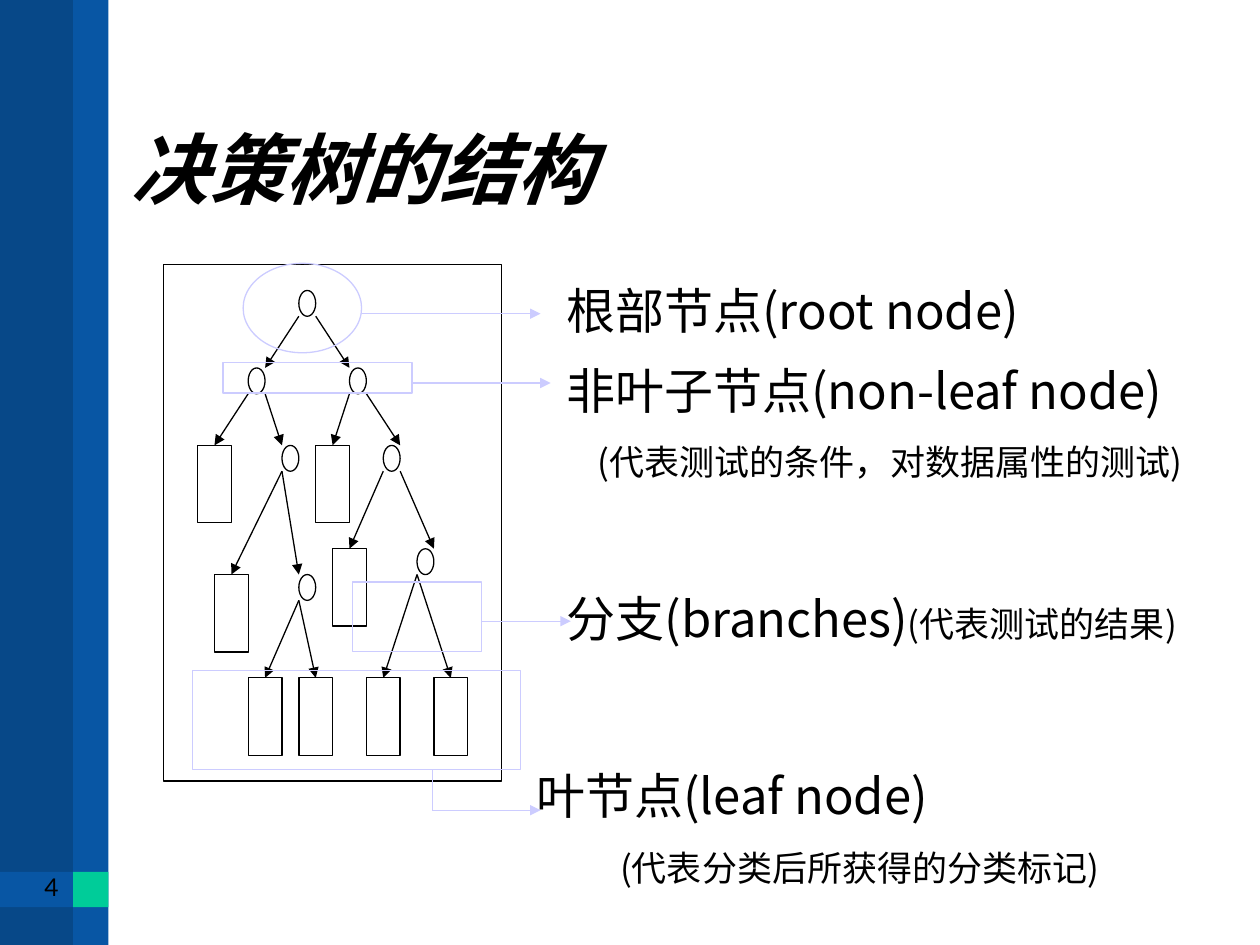
from typing import NamedTuple

from lxml import etree
from pptx import Presentation
from pptx.dml.color import RGBColor
from pptx.enum.shapes import MSO_CONNECTOR, MSO_SHAPE
from pptx.enum.text import MSO_ANCHOR, MSO_AUTO_SIZE, PP_ALIGN
from pptx.oxml.ns import qn
from pptx.util import Inches, Pt

RECT, OVAL = MSO_SHAPE.RECTANGLE, MSO_SHAPE.OVAL
LINE = MSO_CONNECTOR.STRAIGHT
LEFT, CENTER = PP_ALIGN.LEFT, PP_ALIGN.CENTER
MIDDLE, BOTTOM = MSO_ANCHOR.MIDDLE, MSO_ANCHOR.BOTTOM
FIXED = MSO_AUTO_SIZE.NONE

FONT = "Noto Sans CJK SC"
BLACK, WHITE, LILAC = "000000", "FFFFFF", "CCCCFF"
NAVY, BLUE, GREEN = "074888", "0856A4", "00CC99"
TREE_X, TREE_Y, STEP_X, STEP_Y = 1.3, 2.1, 0.134, 0.205


class Box(NamedTuple):
    x: float
    y: float
    w: float
    h: float
    kind: int = RECT
    fill: str | None = None
    edge: str | None = None


class Branch(NamedTuple):
    x1: int
    y1: int
    x2: int
    y2: int


class Arrow(NamedTuple):
    x1: float
    y1: float
    x2: float
    y2: float
    head: bool = True


class Label(NamedTuple):
    x: float
    y: float
    w: float
    h: float
    name: str
    side: str = ""
    note: str = ""


BANDS = [
    Box(0, 0, 0.83, 7.5, fill=NAVY),
    Box(0.58, 0, 0.28, 7.5, fill=BLUE),
    Box(0, 6.92, 0.83, 0.28, fill=BLUE),
    Box(0.58, 6.92, 0.28, 0.28, fill=GREEN),
]
NODES = [(8, 1), (5, 4), (11, 4), (7, 7), (13, 7), (15, 11), (8, 12)]
LEAVES = [(2, 7), (9, 7), (10, 11), (3, 12), (5, 16), (8, 16), (12, 16), (16, 16)]
LINKS = [
    Branch(8, 2, 6, 4), Branch(9, 2, 11, 4),
    Branch(5, 5, 3, 7), Branch(6, 5, 7, 7),
    Branch(11, 5, 10, 7), Branch(12, 5, 14, 7),
    Branch(13, 8, 11, 11), Branch(14, 8, 16, 11),
    Branch(7, 8, 4, 12), Branch(7, 8, 8, 12),
    Branch(8, 13, 6, 16), Branch(8, 13, 9, 16),
    Branch(15, 12, 13, 16), Branch(15, 12, 17, 16),
]
FRAMES = [
    Box(1.93, 2.09, 0.94, 0.71, OVAL, edge=LILAC),
    Box(1.77, 2.88, 1.5, 0.24, edge=LILAC),
    Box(2.8, 4.62, 1.02, 0.55, edge=LILAC),
    Box(1.53, 5.32, 2.6, 0.79, edge=LILAC),
]
ARROWS = [
    Arrow(2.87, 2.49, 4.29, 2.49),
    Arrow(3.27, 3.04, 4.37, 3.04),
    Arrow(3.82, 4.93, 4.53, 4.93),
    Arrow(3.43, 6.11, 3.43, 6.43, head=False),
    Arrow(3.43, 6.43, 4.29, 6.43),
]
LABELS = [
    Label(3.9, 2.18, 5.27, 0.57, "根部节点(root node)"),
    Label(3.9, 2.81, 5.83, 1.08, "非叶子节点(non-leaf node)",
          note="(代表测试的条件，对数据属性的测试)"),
    Label(3.9, 4.62, 5.83, 0.57, "分支(branches)", side="(代表测试的结果)"),
    Label(3.66, 6.03, 5.83, 1.08, "叶节点(leaf node)",
          note="(代表分类后所获得的分类标记)"),
]


def tint(code: str) -> RGBColor:
    return RGBColor.from_string(code)


def write(para, text: str, *, size: float, font: str = FONT,
          bold: bool = False, slant: bool = False, align=LEFT) -> None:
    para.alignment = align
    run = para.add_run()
    run.text = text
    face = run.font
    face.size, face.bold, face.italic = Pt(size), bold, slant
    face.color.rgb = tint(BLACK)
    face.name = font
    etree.SubElement(run._r.get_or_add_rPr(), qn("a:ea"), typeface=FONT)


def indent(para) -> None:
    props = para._p.get_or_add_pPr()
    props.set("marL", str(Inches(0.81)))
    props.set("indent", str(Inches(-0.31)))


def draw_box(slide, box: Box):
    shape = slide.shapes.add_shape(
        box.kind, Inches(box.x), Inches(box.y), Inches(box.w), Inches(box.h))
    shape.shadow.inherit = False
    if box.fill:
        shape.fill.solid()
        shape.fill.fore_color.rgb = tint(box.fill)
    else:
        shape.fill.background()
    if box.edge:
        shape.line.color.rgb = tint(box.edge)
        shape.line.width = Pt(0.75)
    else:
        shape.line.fill.background()
    return shape


def draw_line(slide, arrow: Arrow, color: str):
    line = slide.shapes.add_connector(
        LINE, Inches(arrow.x1), Inches(arrow.y1), Inches(arrow.x2), Inches(arrow.y2))
    line.line.color.rgb = tint(color)
    line.line.width = Pt(0.75)
    if arrow.head:
        etree.SubElement(line.line._get_or_add_ln(), qn("a:tailEnd"), type="triangle")
    etree.SubElement(line._element.spPr, qn("a:effectLst"))
    return line


def grid(col: int, row: int) -> tuple[float, float]:
    return TREE_X + col * STEP_X, TREE_Y + row * STEP_Y


def draw_tree(slide) -> None:
    draw_box(slide, Box(TREE_X, TREE_Y, 20 * STEP_X, 20 * STEP_Y, edge=BLACK))
    for col, row in NODES:
        draw_box(slide, Box(*grid(col, row), STEP_X, STEP_Y, OVAL, WHITE, BLACK))
    tops = {}
    for col, row in LEAVES:
        leaf = Box(*grid(col, row), 2 * STEP_X, 3 * STEP_Y, RECT, WHITE, BLACK)
        tops[col + 1, row] = draw_box(slide, leaf)
    for link in LINKS:
        ends = Arrow(*grid(link.x1, link.y1), *grid(link.x2, link.y2))
        line = draw_line(slide, ends, BLACK)
        leaf = tops.get((link.x2, link.y2))
        if leaf is not None:
            line.end_connect(leaf, 0)


def draw_label(slide, label: Label) -> None:
    box = slide.shapes.add_textbox(
        Inches(label.x), Inches(label.y), Inches(label.w), Inches(label.h))
    frame = box.text_frame
    frame.word_wrap = True
    head = frame.paragraphs[0]
    indent(head)
    write(head, label.name, size=28)
    if label.side:
        write(head, label.side, size=20)
    if label.note:
        para = frame.add_paragraph()
        indent(para)
        para.space_before = Pt(12.5)
        write(para, label.note, size=20, align=CENTER)


def draw_title(slide) -> None:
    title = slide.shapes.title
    title.left, title.top = Inches(0.94), Inches(0.55)
    title.width, title.height = Inches(8.5), Inches(1.25)
    frame = title.text_frame
    frame.auto_size, frame.vertical_anchor = FIXED, BOTTOM
    frame.margin_bottom = Inches(0.1)
    para = frame.paragraphs[0]
    para.line_spacing = Pt(32)
    write(para, "决策树的结构", size=44, bold=True, slant=True)


def draw_number(slide) -> None:
    frame = draw_box(slide, Box(0.16, 6.79, 0.5, 0.5, OVAL)).text_frame
    frame.margin_left = frame.margin_right = 0
    frame.margin_top = frame.margin_bottom = 0
    frame.word_wrap, frame.vertical_anchor = False, MIDDLE
    write(frame.paragraphs[0], "4", size=14, font="Lato", align=CENTER)


def main() -> None:
    deck = Presentation()
    deck.slide_width, deck.slide_height = Inches(10), Inches(7.5)
    slide = deck.slides.add_slide(deck.slide_layouts[5])
    for band in BANDS:
        draw_box(slide, band)
    draw_title(slide)
    draw_number(slide)
    draw_tree(slide)
    for frame in FRAMES:
        draw_box(slide, frame)
    for arrow in ARROWS:
        draw_line(slide, arrow, LILAC)
    for label in LABELS:
        draw_label(slide, label)
    deck.save("out.pptx")


if __name__ == "__main__":
    main()
